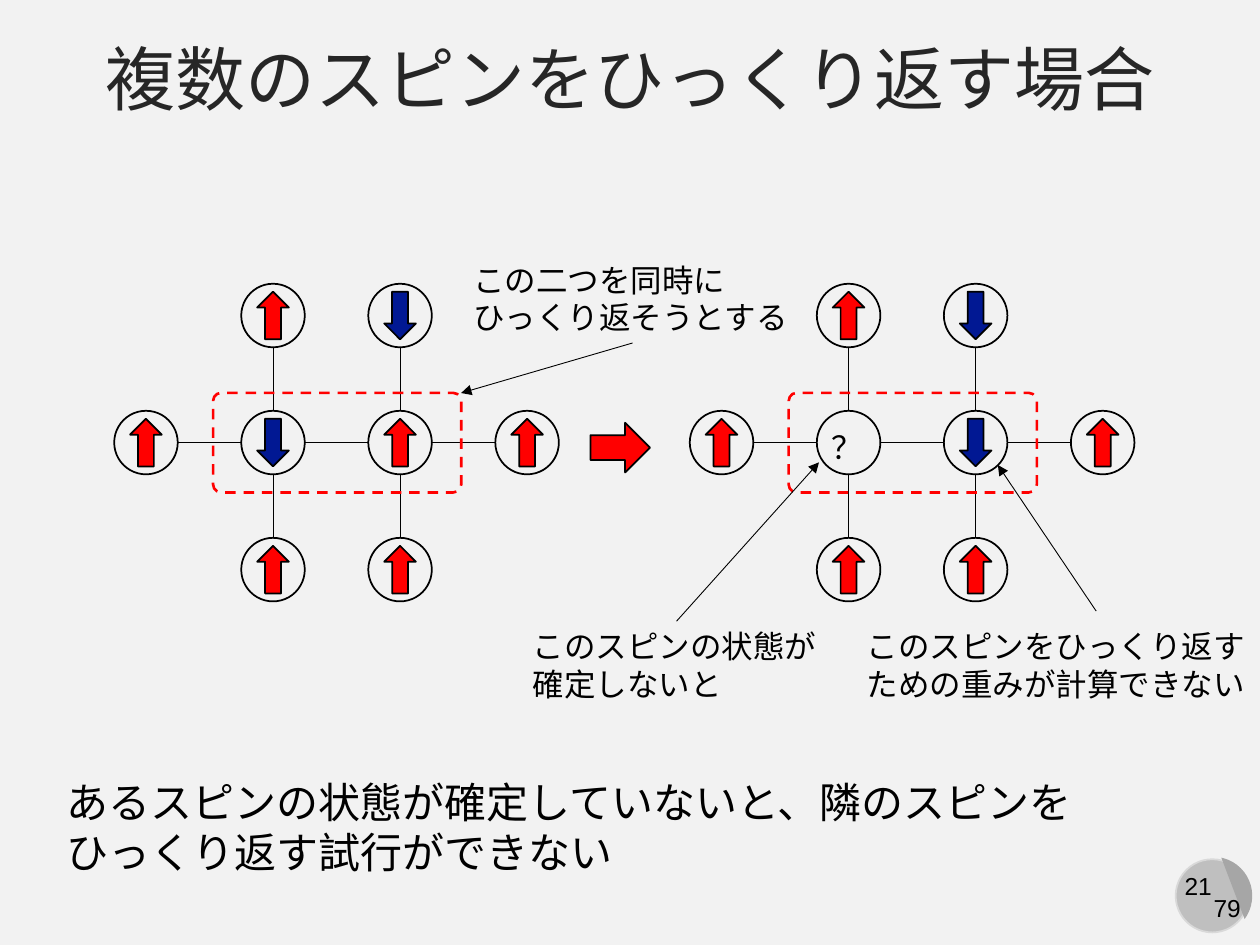
from dataclasses import dataclass
from typing import NamedTuple

import pptx
import pptx.dml.color
import pptx.enum.dml
import pptx.enum.shapes
import pptx.enum.text
import pptx.oxml
import pptx.oxml.ns
import pptx.util

Pt = pptx.util.Pt
Kind = pptx.enum.shapes.MSO_SHAPE
Align = pptx.enum.text.PP_ALIGN


@dataclass(frozen=True)
class Theme:
    font: str = "Arial"
    background: str = "F2F2F2"
    title_color: str = "262626"
    ink: str = "000000"
    up: str = "FF0000"
    down: str = "011893"
    badge: str = "BFBFBF"
    badge_edge: str = "D9D9D9"
    badge_shade: str = "A6A6A6"
    title_size: float = 40
    body_size: float = 24
    label_size: float = 18
    number_size: float = 14


class Box(NamedTuple):
    left: float
    top: float
    width: float
    height: float


class Point(NamedTuple):
    x: float
    y: float


class Label(NamedTuple):
    box: Box
    lines: list[str]
    size: float
    align: Align = Align.LEFT


class Spin(NamedTuple):
    column: int
    row: int
    state: str  # "up", "down" or "unknown"


THEME = Theme()

# Lattice geometry
PITCH = 72.6
DIAMETER = 36.3
ARROW_WIDTH, ARROW_HEIGHT = 18.1, 27.2
LATTICES = (Point(83.4, 180.3), Point(412.3, 180.3))

# Spins shared by both lattices, then the pair that differs
NEIGHBOURS = [
    Spin(2, 0, "down"), Spin(1, 0, "up"), Spin(0, 1, "up"),
    Spin(3, 1, "up"), Spin(1, 2, "up"), Spin(2, 2, "up"),
]
PAIRS = (
    [Spin(2, 1, "up"), Spin(1, 1, "down")],
    [Spin(2, 1, "down"), Spin(1, 1, "unknown")],
)
BONDS = [((column, 1), (column + 1, 1)) for column in range(3)] + [
    ((column, row), (column, row + 1)) for row in range(2) for column in (1, 2)
]

LABELS = [
    Label(Box(263.5, 145.4, 196.6, 51), ["この二つを同時に", "ひっくり返そうとする"], THEME.label_size),
    Label(Box(31, 440, 596, 65.5),
          ["あるスピンの状態が確定していないと、隣のスピンを", "ひっくり返す試行ができない"], THEME.body_size),
    Label(Box(468, 241.2, 32.4, 29), ["？"], THEME.label_size),
    Label(Box(297.4, 355, 178, 51), ["このスピンの状態が", "確定しないと"], THEME.label_size),
    Label(Box(488.2, 355, 232.6, 51),
          ["このスピンをひっくり返す", "ための重みが計算できない"], THEME.label_size),
]
POINTERS = [
    (Point(361.5, 196), Point(263.5, 224.6)),
    (Point(386.6, 355), Point(468, 264.2)),
    (Point(626.4, 349.2), Point(570.2, 265.7)),
]


def rgb(color: str) -> pptx.dml.color.RGBColor:
    return pptx.dml.color.RGBColor.from_string(color)


def add_shape(page, kind, box: Box, fill=None, line=None, weight=1.0, rotation=0):
    shape = page.shapes.add_shape(kind, *map(Pt, box))
    shape.shadow.inherit = False
    shape.rotation = rotation
    if fill:
        shape.fill.solid()
        shape.fill.fore_color.rgb = rgb(fill)
    else:
        shape.fill.background()
    if line:
        shape.line.color.rgb = rgb(line)
        shape.line.width = Pt(weight)
    else:
        shape.line.fill.background()
    return shape


def add_line(page, start: Point, end: Point, arrow: bool = False) -> None:
    line = page.shapes.add_connector(
        pptx.enum.shapes.MSO_CONNECTOR.STRAIGHT, *map(Pt, (*start, *end)))
    line.line.color.rgb = rgb(THEME.ink)
    line.line.width = Pt(0.5)
    if arrow:
        head = pptx.oxml.parse_xml(
            f'<a:tailEnd {pptx.oxml.ns.nsdecls("a")} type="triangle"/>')
        line.line._get_or_add_ln().append(head)
    line._element.spPr.append(
        pptx.oxml.parse_xml(f'<a:effectLst {pptx.oxml.ns.nsdecls("a")}/>'))


def add_label(page, label: Label, color: str = THEME.ink, wrap: bool = False):
    frame = page.shapes.add_textbox(*map(Pt, label.box)).text_frame
    frame.word_wrap = wrap
    if not wrap:
        frame.auto_size = pptx.enum.text.MSO_AUTO_SIZE.SHAPE_TO_FIT_TEXT
    frame.text = "\n".join(label.lines)
    for para in frame.paragraphs:
        para.alignment = label.align
        for span in para.runs:
            span.font.name = THEME.font
            span.font.size = Pt(label.size)
            span.font.color.rgb = rgb(color)
    return frame


def centred(center: Point, width: float, height: float) -> Box:
    return Box(center.x - width / 2, center.y - height / 2, width, height)


def site(origin: Point, column: int, row: int) -> Point:
    return Point(origin.x + column * PITCH, origin.y + row * PITCH)


def add_spin(page, origin: Point, spin: Spin) -> None:
    center = site(origin, spin.column, spin.row)
    add_shape(page, Kind.OVAL, centred(center, DIAMETER, DIAMETER), line=THEME.ink)
    if spin.state == "unknown":
        return
    is_up = spin.state == "up"
    add_shape(page, Kind.DOWN_ARROW, centred(center, ARROW_WIDTH, ARROW_HEIGHT),
              THEME.up if is_up else THEME.down, THEME.ink, rotation=180 if is_up else 0)


def add_lattice(page, origin: Point, spins: list[Spin]) -> None:
    for spin in spins:
        add_spin(page, origin, spin)
    radius = DIAMETER / 2
    for first, second in BONDS:
        start, end = site(origin, *first), site(origin, *second)
        if start.y == end.y:
            add_line(page, Point(start.x + radius, start.y), Point(end.x - radius, end.y))
        else:
            add_line(page, Point(start.x, start.y + radius), Point(end.x, end.y - radius))


def add_page_badge(page) -> None:
    add_shape(page, Kind.OVAL, Box(671.8, 491, 41.8, 41.8), THEME.badge, THEME.badge_edge)
    add_label(page, Label(Box(668.9, 494, 31.7, 24.2), ["21"], THEME.number_size, Align.CENTER))
    chord = add_shape(page, Kind.CHORD, Box(671, 489.6, 44.6, 44.6), THEME.badge_shade, rotation=255)
    chord.adjustments[0], chord.adjustments[1] = 16.2, 84.85
    add_label(page, Label(Box(686.2, 506.9, 30.2, 24.2), ["79"], THEME.number_size, Align.CENTER))


def main() -> None:
    deck = pptx.Presentation()
    deck.slide_width, deck.slide_height = Pt(720), Pt(540)
    page = deck.slides.add_slide(deck.slide_layouts[6])
    page.background.fill.solid()
    page.background.fill.fore_color.rgb = rgb(THEME.background)

    # Page number and title
    add_page_badge(page)
    title = Label(Box(0, 15, 720, 59), ["複数のスピンをひっくり返す場合"], THEME.title_size, Align.CENTER)
    frame = add_label(page, title, THEME.title_color, wrap=True)
    frame.vertical_anchor = pptx.enum.text.MSO_ANCHOR.MIDDLE

    # Lattices before and after the move
    for origin, pair in zip(LATTICES, PAIRS):
        add_lattice(page, origin, NEIGHBOURS + pair)
    add_shape(page, Kind.RIGHT_ARROW, Box(337.4, 241.6, 34, 28.4), THEME.up, THEME.ink)

    # Dashed frames around the flipped pairs
    for origin in LATTICES:
        pair_box = Box(origin.x + 38.4, origin.y + 44.2, 141.8, 56.9)
        outline = add_shape(page, Kind.ROUNDED_RECTANGLE, pair_box, line=THEME.up, weight=1.5)
        outline.adjustments[0] = 0.08
        outline.line.dash_style = pptx.enum.dml.MSO_LINE.DASH

    # Explanations and their pointers
    for label in LABELS:
        add_label(page, label)
    for start, end in POINTERS:
        add_line(page, start, end, arrow=True)

    deck.save("out.pptx")


if __name__ == "__main__":
    main()
